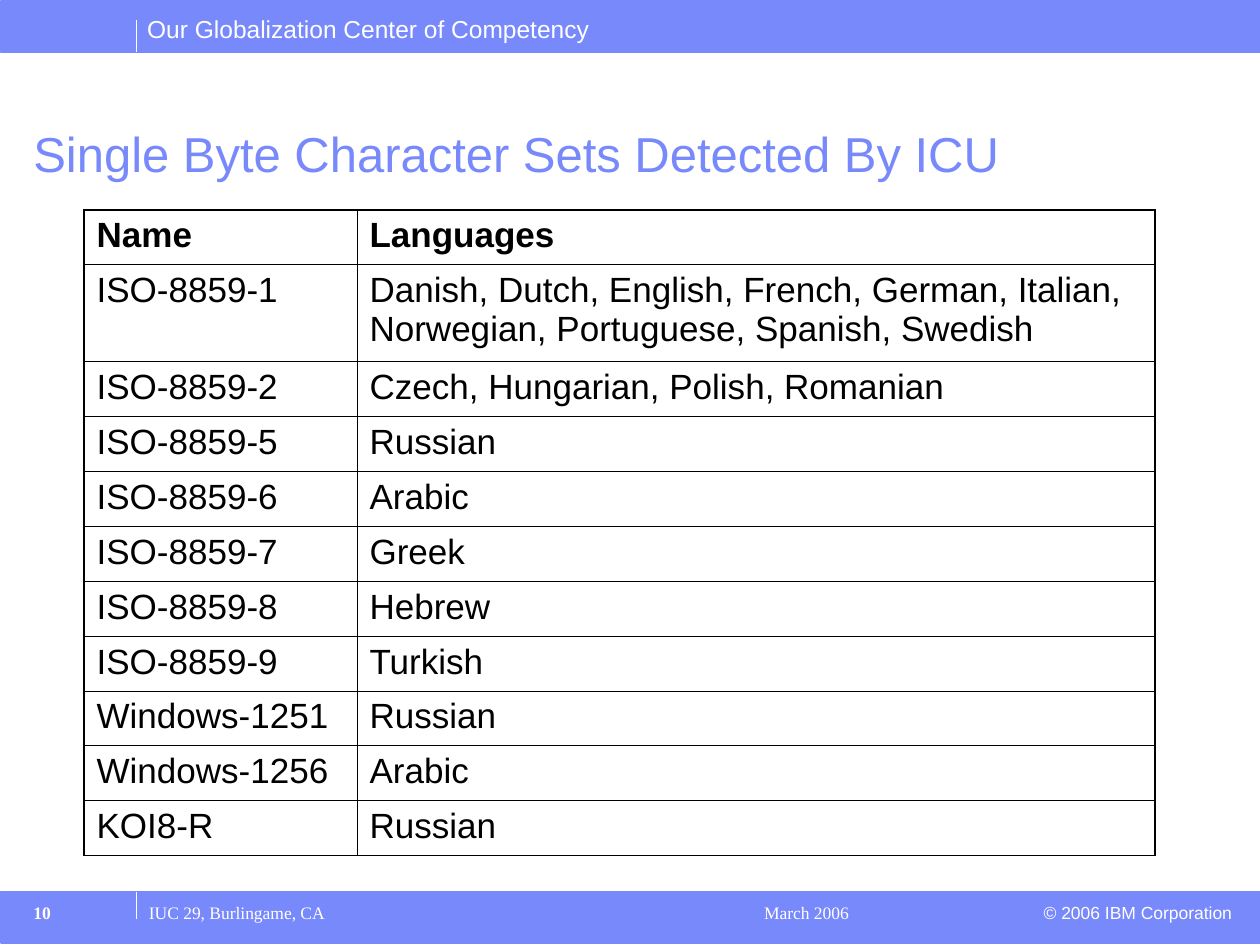
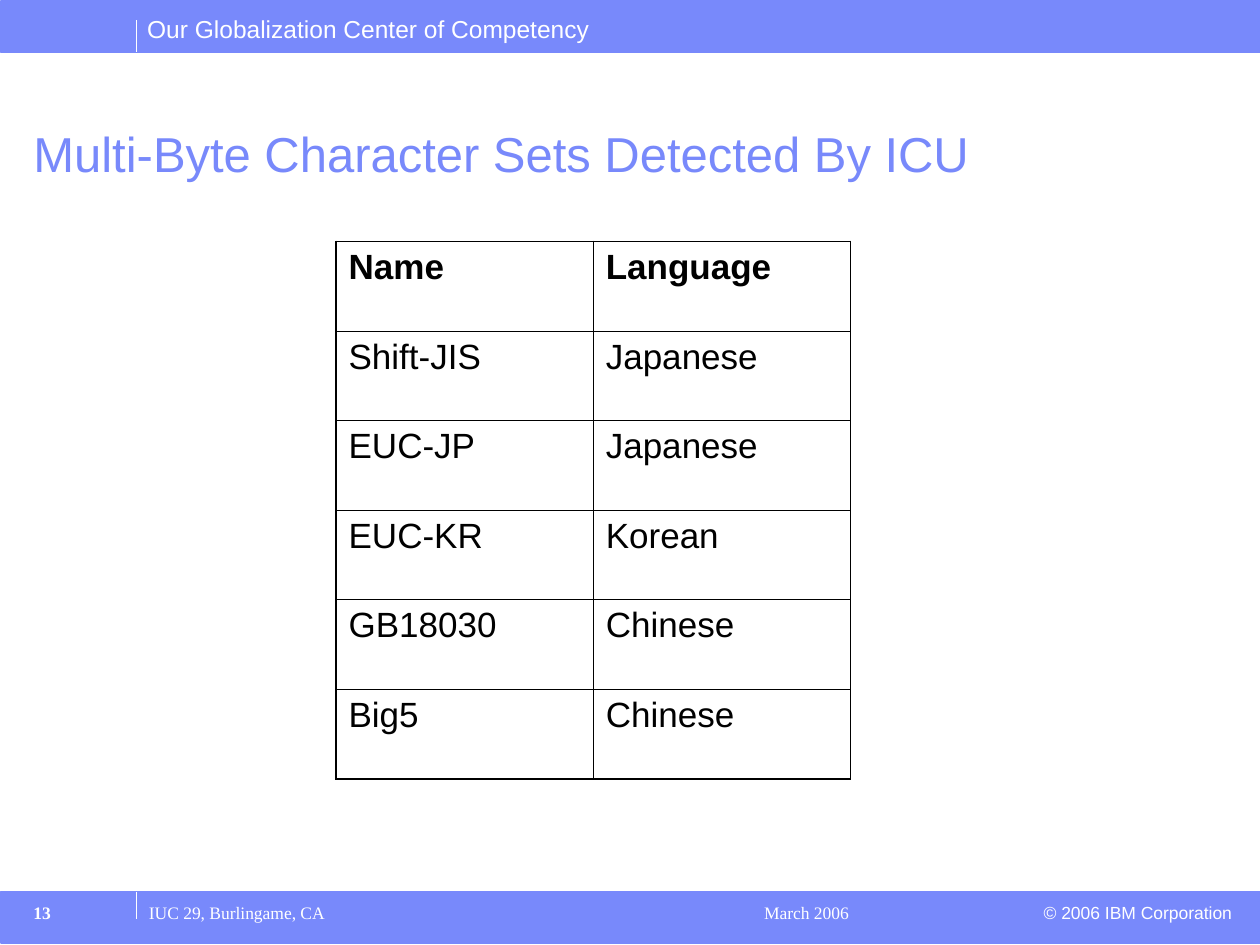
from dataclasses import dataclass

from lxml import etree
from pptx import Presentation
from pptx.dml.color import RGBColor
from pptx.enum.shapes import MSO_CONNECTOR, MSO_SHAPE
from pptx.enum.text import MSO_ANCHOR, PP_ALIGN
from pptx.oxml.ns import qn
from pptx.util import Pt

RECT = MSO_SHAPE.RECTANGLE
LINE = MSO_CONNECTOR.STRAIGHT
LEFT, RIGHT = PP_ALIGN.LEFT, PP_ALIGN.RIGHT
TOP, BOTTOM = MSO_ANCHOR.TOP, MSO_ANCHOR.BOTTOM


@dataclass(frozen=True)
class Theme:
    blue: str = "7889FB"
    white: str = "FFFFFF"
    black: str = "000000"
    sans: str = "Arial"
    serif: str = "Times New Roman"
    title: int = 28
    cell: int = 20
    head: int = 14
    foot: int = 10
    thick: float = 1.08
    thin: float = 0.45


class Deck:
    def __init__(self, theme):
        self.theme = theme
        self.prs = Presentation()
        self.prs.slide_width, self.prs.slide_height = Pt(720), Pt(540)
        self.slide = None

    def style(self, para, size, color, face, bold=False):
        font = para.font
        font.size, font.name, font.bold = Pt(size), face, bold
        font.color.rgb = RGBColor.from_string(color)

    def text(self, words, box, size, color, face, bold=False,
             align=LEFT, anchor=TOP, space=1.0):
        shape = self.slide.shapes.add_textbox(*map(Pt, box))
        frame = shape.text_frame
        frame.word_wrap = True
        frame.vertical_anchor = anchor
        para = frame.paragraphs[0]
        para.text = words
        para.alignment = align
        para.line_spacing = space
        self.style(para, size, color, face, bold)

    def band(self, top):
        shape = self.slide.shapes.add_shape(
            RECT, Pt(0.5), Pt(top), Pt(719.5), Pt(29.5))
        shape.shadow.inherit = False
        blue = RGBColor.from_string(self.theme.blue)
        shape.fill.solid()
        shape.fill.fore_color.rgb = blue
        shape.line.color.rgb = blue
        shape.line.width = Pt(1)

    def rule(self, x, top, end):
        line = self.slide.shapes.add_connector(
            LINE, Pt(x), Pt(top), Pt(x), Pt(end))
        line.line.color.rgb = RGBColor.from_string(self.theme.white)
        line.line.width = Pt(1)
        etree.SubElement(line._element.spPr, qn("a:effectLst"))

    def border(self, cell, side, width):
        edge = etree.SubElement(cell._tc.get_or_add_tcPr(), qn("a:ln" + side),
                                w=str(Pt(width)))
        fill = etree.SubElement(edge, qn("a:solidFill"))
        etree.SubElement(fill, qn("a:srgbClr"), val=self.theme.black)

    def table(self, left, top, cols, highs, data):
        t = self.theme
        grid = self.slide.shapes.add_table(
            len(data), len(cols), Pt(left), Pt(top),
            Pt(sum(cols)), Pt(sum(highs))).table
        grid.first_row = grid.horz_banding = False
        for col, wide in zip(grid.columns, cols):
            col.width = Pt(wide)
        for row, high in zip(grid.rows, highs):
            row.height = Pt(high)
        for r, row in enumerate(data):
            for c, words in enumerate(row):
                cell = grid.cell(r, c)
                para = cell.text_frame.paragraphs[0]
                para.text = words
                self.style(para, t.cell, t.black, t.sans, bold=r == 0)
                # Thick edges outside, thin edges inside
                outer = {"L": c == 0, "R": c == len(cols) - 1,
                         "T": r == 0, "B": r == len(data) - 1}
                for side, edge in outer.items():
                    self.border(cell, side, t.thick if edge else t.thin)
                cell.fill.background()

    def page(self, title, number):
        t = self.theme
        self.slide = self.prs.slides.add_slide(self.prs.slide_layouts[6])
        # Bands and rules
        self.band(0.5)
        self.band(509.5)
        self.rule(78, 11.5, 30)
        self.rule(78, 509.5, 525)
        # Header and title
        self.text("Our Globalization Center of Competency",
                  (77, 4.5, 300, 24), t.head, t.white, t.sans)
        self.text(title, (12, 68.5, 650, 39.5), t.title, t.blue, t.sans,
                  anchor=BOTTOM, space=0.9)
        # Footer
        self.text(number, (12, 512, 79, 25), t.foot, t.white, t.serif, True)
        self.text("IUC 29, Burlingame, CA", (78, 512, 300, 19.5),
                  t.foot, t.white, t.serif)
        self.text("March 2006", (429.5, 512, 153.5, 19.5),
                  t.foot, t.white, t.serif)
        self.text("© 2006 IBM Corporation", (451, 512, 260, 19.5),
                  t.foot, t.white, t.sans, align=RIGHT)


SINGLE = [
    ("Name", "Languages"),
    ("ISO-8859-1", "Danish, Dutch, English, French, German, Italian, "
                   "Norwegian, Portuguese, Spanish, Swedish"),
    ("ISO-8859-2", "Czech, Hungarian, Polish, Romanian"),
    ("ISO-8859-5", "Russian"),
    ("ISO-8859-6", "Arabic"),
    ("ISO-8859-7", "Greek"),
    ("ISO-8859-8", "Hebrew"),
    ("ISO-8859-9", "Turkish"),
    ("Windows-1251", "Russian"),
    ("Windows-1256", "Arabic"),
    ("KOI8-R", "Russian"),
]
MULTI = [
    ("Name", "Language"),
    ("Shift-JIS", "Japanese"),
    ("EUC-JP", "Japanese"),
    ("EUC-KR", "Korean"),
    ("GB18030", "Chinese"),
    ("Big5", "Chinese"),
]


def main():
    deck = Deck(Theme())

    # Single-byte sets: the second row holds two lines
    deck.page("Single Byte Character Sets Detected By ICU", "10")
    highs = [31.37] * len(SINGLE)
    highs[1] = 55.4
    deck.table(48, 120, (156, 456), highs, SINGLE)

    # Multi-byte sets
    deck.page("Multi-Byte Character Sets Detected By ICU", "13")
    deck.table(192, 138, (147, 147), [51.2] * len(MULTI), MULTI)

    deck.prs.save("out.pptx")


if __name__ == "__main__":
    main()
